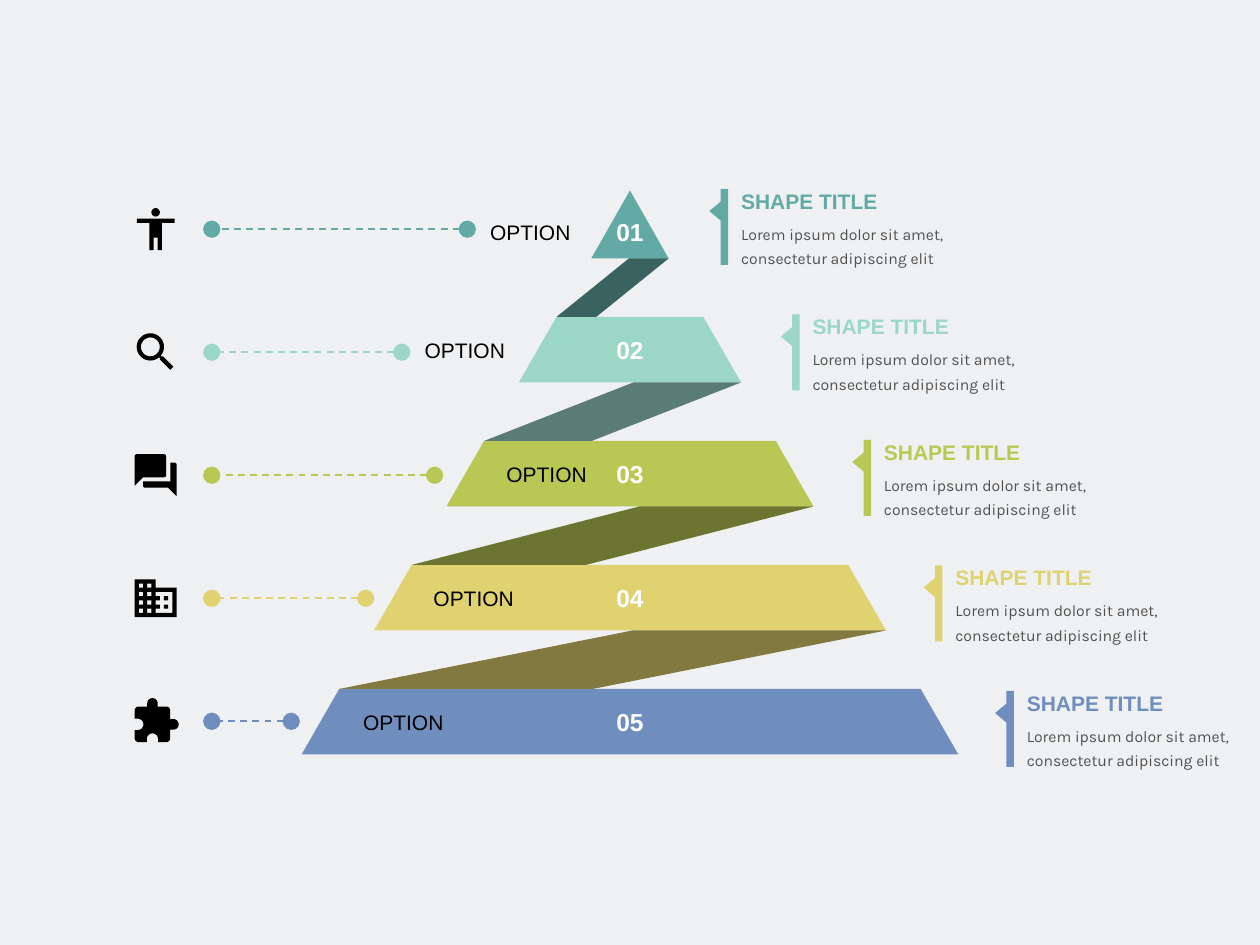
from dataclasses import dataclass
from math import cos, radians, sin

from lxml.etree import SubElement
from pptx import Presentation
from pptx.dml.color import RGBColor as RGB
from pptx.enum.dml import MSO_LINE_DASH_STYLE as Dash
from pptx.enum.shapes import MSO_CONNECTOR as Conn, MSO_SHAPE as Shape
from pptx.enum.text import MSO_ANCHOR as Anchor, PP_ALIGN as Align
from pptx.oxml.ns import qn
from pptx.util import Cm, Pt


@dataclass(frozen=True)
class Theme:
    background: str = "EEF0F2"
    ink: str = "000000"
    number: str = "FFFFFF"
    levels: tuple = ("63AAA7", "9CD7C5", "B9C854", "E0D171", "708EBD")
    shade_alpha: int = 42
    body_alpha: int = 65
    heading_font: str = "Arial"
    body_font: str = "Karla"
    heading_size: int = 12
    number_size: int = 14
    body_size: int = 9


def arc(cx, cy, r, start, end):
    """Points along an arc; angles in degrees, clockwise from the right."""
    steps = max(6, round(abs(end - start) / 10))
    angles = [radians(start + (end - start) * i / steps) for i in range(steps + 1)]
    return [(cx + r * cos(a), cy + r * sin(a)) for a in angles]


def box(x, y, w=2, h=2):
    return [(x, y), (x + w, y), (x + w, y + h), (x, y + h)]


# Icons: closed contours on a 24-unit grid.
PERSON = [
    arc(12, 4, 2, 0, 360),
    [(21, 9), (15, 9), (15, 22), (13, 22), (13, 16), (11, 16), (11, 22),
     (9, 22), (9, 9), (3, 9), (3, 7), (21, 7)],
]
MAGNIFIER = [
    [(15.5, 14), (14.71, 14), *arc(9.5, 9.5, 6.5, 40.6, -310.6),
     (14, 14.71), (14, 15.5), (19, 20.49), (20.49, 19)],
    arc(9.5, 9.5, 4.5, 0, 360),
]
CHAT = [
    [(19, 6), (19, 15), (6, 15), *arc(7, 17, 1, 180, 90), (18, 18), (22, 22),
     *arc(21, 7, 1, 0, -90)],
    [*arc(16, 3, 1, 0, -90), *arc(3, 3, 1, -90, -180), (2, 17), (6, 13),
     *arc(16, 12, 1, 90, 0)],
]
BUILDING = [
    [(12, 7), (12, 3), (2, 3), (2, 21), (22, 21), (22, 7)],
    *[box(x, y) for x in (4, 8) for y in (5, 9, 13, 17)],
    [(20, 19), (12, 19), (12, 17), (14, 17), (14, 15), (12, 15), (12, 13),
     (14, 13), (14, 11), (12, 11), (12, 9), (20, 9)],
    box(16, 11),
    box(16, 15),
]
PUZZLE = [
    [(19, 11), *arc(17, 7, 2, 0, -90), (13, 5), *arc(10.5, 3.5, 2.5, 0, -180),
     (8, 5), *arc(4, 7, 2, -90, -180), (2, 10.8), *arc(3.5, 13.5, 2.7, -90, 90),
     (2, 16.2), *arc(4, 20, 2, 180, 90), (7.8, 22),
     *arc(10.5, 20.5, 2.7, 180, 360), (13.2, 22), *arc(17, 20, 2, 90, 0),
     (19, 16), *arc(20.5, 13.5, 2.5, 90, -90)],
]


class Deck:
    """Holds the theme and the current slide; all lengths are centimetres."""

    def __init__(self, slide, theme):
        self.slide, self.theme = slide, theme
        slide.background.fill.solid()
        slide.background.fill.fore_color.rgb = RGB.from_string(theme.background)

    def set_alpha(self, element, percent):
        color = element.xpath(".//a:solidFill/a:srgbClr")[0]
        SubElement(color, qn("a:alpha")).set("val", str(percent * 1000))

    def paint(self, sp, color, alpha=None):
        sp.shadow.inherit = False
        sp.fill.solid()
        sp.fill.fore_color.rgb = RGB.from_string(color)
        sp.line.fill.background()
        if alpha:
            self.set_alpha(sp._element.spPr, alpha)

    def outline(self, contours, color, x=0, y=0, unit=1):
        """Draw closed contours, scaled by unit and moved to x, y."""
        builder = None
        for contour in contours:
            pts = [(Cm(x + px * unit), Cm(y + py * unit)) for px, py in contour]
            if builder is None:
                builder = self.slide.shapes.build_freeform(*pts[0])
            else:
                builder.move_to(*pts[0])
            builder.add_line_segments(pts[1:], close=True)
        self.paint(builder.convert_to_shape(), color)

    def shape(self, kind, x, y, w, h, adjustments, color, alpha=None):
        sp = self.slide.shapes.add_shape(kind, Cm(x), Cm(y), Cm(w), Cm(h))
        for i, value in enumerate(adjustments):
            sp.adjustments[i] = value
        self.paint(sp, color, alpha)

    def text(self, text, x, y, w, h, color, size, font=None, bold=False,
             align=Align.LEFT, anchor=Anchor.MIDDLE, spacing=None, alpha=None):
        tf = self.slide.shapes.add_textbox(Cm(x), Cm(y), Cm(w), Cm(h)).text_frame
        tf.margin_left = tf.margin_right = tf.margin_top = tf.margin_bottom = 0
        tf.word_wrap = True
        tf.vertical_anchor = anchor
        p = tf.paragraphs[0]
        p.text, p.alignment, p.line_spacing = text, align, spacing
        r = p.runs[0]
        r.font.name, r.font.size, r.font.bold = font or self.theme.heading_font, Pt(size), bold
        r.font.color.rgb = RGB.from_string(color)
        if alpha:
            self.set_alpha(r._r, alpha)

    def dotted_line(self, x1, x2, y, color):
        """Dashed horizontal line with a round dot at each end."""
        line = self.slide.shapes.add_connector(Conn.STRAIGHT, Cm(x1), Cm(y), Cm(x2), Cm(y))
        line.line.width = Pt(1)
        line.line.color.rgb = RGB.from_string(color)
        line.line.dash_style = Dash.DASH
        for end in ("headEnd", "tailEnd"):
            dot = SubElement(line.line._get_or_add_ln(), qn(f"a:{end}"))
            for key, value in (("type", "oval"), ("w", "lg"), ("len", "lg")):
                dot.set(key, value)
        SubElement(line._element.spPr, qn("a:effectLst"))

    def caption(self, x, y, color):
        t = self.theme
        self.text("Lorem ipsum dolor sit amet, consectetur adipiscing elit", x, y + 0.61,
                  5.64, 0.94, t.ink, t.body_size, t.body_font, anchor=Anchor.TOP,
                  spacing=1.3, alpha=t.body_alpha)
        self.text("SHAPE TITLE", x, y, 5.64, 0.51, color, t.heading_size, bold=True)
        self.shape(Shape.RECTANGULAR_CALLOUT, x - 0.41, y + 0.01, 0.15, 1.53,
                   (-2.035, -0.209), color)


CENTER, BOTTOM, PITCH = 12.7, 5.21, 2.5
BAND, GAP, SLANT = 1.32, 1.18, 0.76
ICON_UNIT = 0.0423
FOLDS = (1.238, 2.552, 3.892, 5.012)
# icon, end of the dotted line, centre of the option label
ROWS = (
    (PERSON, 9.42, 10.69),
    (MAGNIFIER, 8.1, 9.37),
    (CHAT, 8.76, 11.02),
    (BUILDING, 7.37, 9.55),
    (PUZZLE, 5.87, 8.13),
)


def half_width(level):
    return 0.78 + 1.46 * level


def draw_level(deck, level):
    bottom, half = BOTTOM + PITCH * level, half_width(level)
    if level == 0:
        top_edge = [(CENTER, bottom - 1.37)]
    else:
        top, inner = bottom - BAND, half - SLANT
        top_edge = [(CENTER - inner, top), (CENTER + inner, top)]
    deck.outline([[*top_edge, (CENTER + half, bottom), (CENTER - half, bottom)]],
                 deck.theme.levels[level])


def draw_fold(deck, level, color, alpha=None):
    """Ribbon from the right end of a level to the left end of the next."""
    left = CENTER - half_width(level + 1) + SLANT
    deck.shape(Shape.PARALLELOGRAM, left, BOTTOM + PITCH * level,
               CENTER + half_width(level) - left, GAP, (FOLDS[level],), color, alpha)


def main():
    prs = Presentation()
    prs.slide_width, prs.slide_height = Cm(25.4), Cm(19.05)
    theme = Theme()
    deck = Deck(prs.slides.add_slide(prs.slide_layouts[6]), theme)

    for level in reversed(range(len(ROWS))):
        draw_level(deck, level)
        if level < len(FOLDS):
            draw_fold(deck, level, theme.levels[level])
            draw_fold(deck, level, theme.ink, theme.shade_alpha)

    for level, (icon, line_end, label_x) in enumerate(ROWS):
        color = theme.levels[level]
        line_y = 4.62 + 2.48 * level
        text_y = BOTTOM + PITCH * level - BAND / 2 if level else 4.68
        deck.outline(icon, theme.ink, 2.63, line_y - 12 * ICON_UNIT, ICON_UNIT)
        deck.dotted_line(line_end, 4.27, line_y, color)
        deck.text("OPTION", label_x - 1.4, text_y - 0.25, 2.8, 0.5, theme.ink,
                  theme.heading_size, align=Align.CENTER)
        deck.text(f"{level + 1:02}", CENTER - 0.43, text_y - 0.3, 0.86, 0.6, theme.number,
                  theme.number_size, bold=True, align=Align.CENTER)
        deck.caption(14.94 + 1.44 * level, 3.8 + 2.53 * level, color)

    prs.save("out.pptx")


if __name__ == "__main__":
    main()
